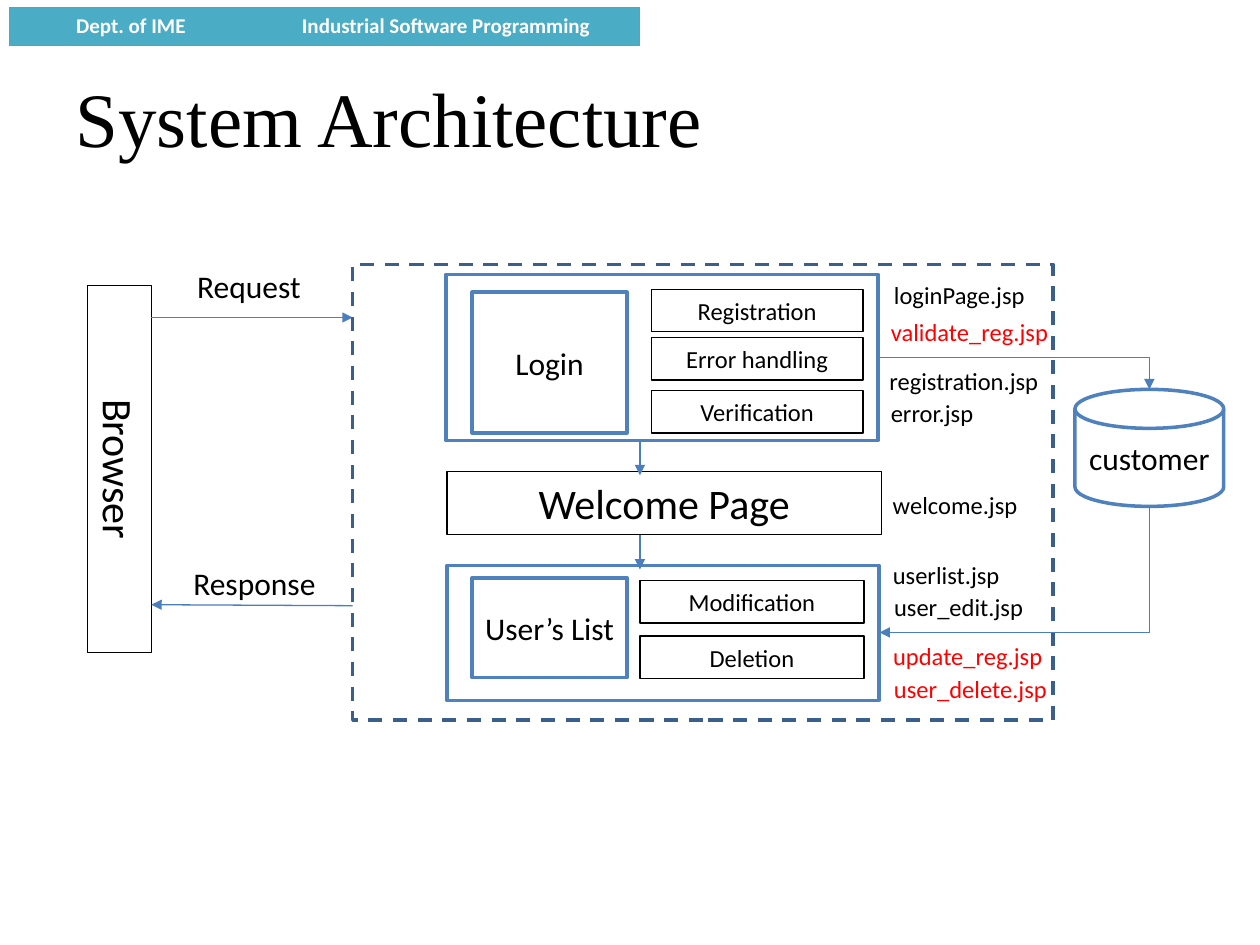
from lxml.etree import SubElement
from pptx import Presentation
from pptx.dml.color import RGBColor
from pptx.enum.dml import MSO_LINE
from pptx.enum.shapes import MSO_CONNECTOR, MSO_SHAPE
from pptx.enum.text import MSO_ANCHOR, PP_ALIGN
from pptx.oxml.ns import qn
from pptx.util import Cm, Pt

BLACK, WHITE, RED = "000000", "FFFFFF", "FF0000"
BLUE, ARROW, DASH = "4F81BD", "4B7EBC", "3A5F8C"
TEAL, TEAL_EDGE = "4BACC6", "46AAC5"
NO_TABLE_STYLE = "{2D5ABB26-0587-4C30-8999-92F81FD0307C}"


def rgb(value):
    """Turn a hex string into a colour."""
    return RGBColor.from_string(value)


def write(tf, text, size=14, color=BLACK, font="Calibri", bold=False,
          align=PP_ALIGN.CENTER, anchor=MSO_ANCHOR.MIDDLE, wrap=True):
    """Put one formatted line of text into a text frame."""
    tf.word_wrap = wrap
    tf.vertical_anchor = anchor
    p = tf.paragraphs[0]
    p.alignment = align
    r = p.add_run()
    r.text = text
    r.font.size, r.font.name, r.font.bold = Pt(size), font, bold
    r.font.color.rgb = rgb(color)


def add_box(s, x, y, w, h, text="", size=14, line=BLACK, width=0.75,
            fill=None, shape=MSO_SHAPE.RECTANGLE):
    """Draw an outlined shape with optional text."""
    sp = s.shapes.add_shape(shape, Cm(x), Cm(y), Cm(w), Cm(h))
    sp.shadow.inherit = False
    if fill:
        sp.fill.solid()
        sp.fill.fore_color.rgb = rgb(fill)
    else:
        sp.fill.background()
    sp.line.color.rgb = rgb(line)
    sp.line.width = Pt(width)
    if text:
        write(sp.text_frame, text, size)
    return sp


def add_label(s, x, y, w, h, text, size=14, color=BLACK):
    """Place a single unwrapped line of text."""
    sp = s.shapes.add_textbox(Cm(x), Cm(y), Cm(w), Cm(h))
    write(sp.text_frame, text, size, color, anchor=MSO_ANCHOR.TOP, wrap=False)


def add_arrow(s, x1, y1, x2, y2, kind=MSO_CONNECTOR.STRAIGHT):
    """Draw a connector with an arrowhead at its end."""
    cxn = s.shapes.add_connector(kind, Cm(x1), Cm(y1), Cm(x2), Cm(y2))
    cxn.line.color.rgb = rgb(ARROW)
    cxn.line.width = Pt(0.75)
    SubElement(cxn.line._get_or_add_ln(), qn("a:tailEnd"), type="triangle")
    SubElement(cxn._element.spPr, qn("a:effectLst"))
    return cxn


def add_elbow(s, x1, y1, x2, y2, down_first=False):
    """Draw a one-bend arrow that goes right then down, or down then left."""
    if down_first:
        w, h = y2 - y1, x1 - x2
        left, top = (x1 + x2 - w) / 2, (y1 + y2 - h) / 2
        x1, y1, x2, y2 = left, top, left + w, top + h
    cxn = add_arrow(s, x1, y1, x2, y2, MSO_CONNECTOR.ELBOW)
    spPr = cxn._element.spPr
    spPr.find(qn("a:prstGeom")).set("prst", "bentConnector2")
    if down_first:
        spPr.find(qn("a:xfrm")).set("rot", "5400000")


def add_header(s, x, y, w, h):
    """Build the course banner as a one-row table."""
    frame = s.shapes.add_table(1, 2, Cm(x), Cm(y), Cm(w), Cm(h))
    table = frame.table
    table.first_row = table.horz_banding = False
    table._tbl.tblPr.find(qn("a:tableStyleId")).text = NO_TABLE_STYLE
    first = 4.88
    columns = (("Dept. of IME", first, "LTB"),
               ("Industrial Software Programming", w - first, "RTB"))
    for i, (text, width, edges) in enumerate(columns):
        table.columns[i].width = Cm(width)
        cell = table.cell(0, i)
        write(cell.text_frame, text, 12, WHITE, bold=True)
        cell.vertical_anchor = MSO_ANCHOR.TOP
        tcPr = cell._tc.get_or_add_tcPr()
        for edge in edges:
            ln = SubElement(tcPr, qn(f"a:ln{edge}"), w=str(Pt(0.75)))
            SubElement(SubElement(ln, qn("a:solidFill")), qn("a:srgbClr"), val=TEAL_EDGE)
        cell.fill.solid()
        cell.fill.fore_color.rgb = rgb(TEAL)


def add_title(s, x, y, w, h):
    """Move and format the title placeholder."""
    title = s.shapes.title
    title.left, title.top, title.width, title.height = Cm(x), Cm(y), Cm(w), Cm(h)
    write(title.text_frame, "System Architecture", 44, font="Times New Roman",
          align=PP_ALIGN.LEFT)


def add_browser(s, x, y, w, h, reach):
    """Draw the upright browser bar and its arrows to and from the server."""
    bar = add_box(s, x + (w - h) / 2, y + (h - w) / 2, h, w, "Browser", 24)
    bar.rotation = 90
    right = x + w
    add_arrow(s, right, y + 0.64, right + reach, y + 0.64)
    add_arrow(s, right + reach, y + 6.45, right, y + 6.43)
    add_label(s, right + 0.66, y - 0.5, 2.62, 1.02, "Request", 18)
    add_label(s, right + 0.58, y + 5.49, 3, 1.02, "Response", 18)


def add_panel(s, x, y, w, h, name, name_box, items, item_left, item_tops):
    """Draw a panel with a named block and a column of functions."""
    add_box(s, x, y, w, h, line=BLUE, width=2)
    dx, dy, name_w, name_h = name_box
    add_box(s, x + dx, y + dy, name_w, name_h, name, 18, BLUE, 2)
    for text, top in zip(items, item_tops):
        add_box(s, x + item_left, y + top, w - item_left - 0.3, 0.86, text)


def add_server(s, x, y, w, h):
    """Draw the dashed server area with its pages and file names."""
    add_box(s, x, y, w, h, line=DASH, width=2).line.dash_style = MSO_LINE.DASH
    add_panel(s, x + 1.88, y + 0.2, 8.71, 3.35, "Login", (0.53, 0.36, 3.12, 2.84),
              ("Registration", "Error handling", "Verification"), 4.14, (0.3, 1.27, 2.34))
    add_box(s, x + 1.9, y + 4.17, 8.76, 1.27, "Welcome Page", 24)
    add_panel(s, x + 1.9, y + 6.07, 8.71, 2.72, "User’s List", (0.51, 0.25, 3.12, 2.01),
              ("Modification", "Deletion"), 3.89, (0.3, 1.42))
    for top in (3.56, 5.46):
        add_arrow(s, x + 5.79, y + top, x + 5.79, y + top + 0.69)
    files = (("loginPage.jsp", 10.64, 0.2, 3.18, BLACK),
             ("validate_reg.jsp", 10.57, 0.94, 3.73, RED),
             ("registration.jsp", 10.54, 1.93, 3.56, BLACK),
             ("error.jsp", 10.59, 2.57, 2.18, BLACK),
             ("welcome.jsp", 10.62, 4.42, 3.05, BLACK),
             ("userlist.jsp", 10.62, 5.84, 2.69, BLACK),
             ("user_edit.jsp", 10.64, 6.48, 3.15, BLACK),
             ("update_reg.jsp", 10.62, 7.47, 3.56, RED),
             ("user_delete.jsp", 10.64, 8.13, 3.63, RED))
    for text, dx, dy, width, color in files:
        add_label(s, x + dx, y + dy, width, 0.86, text, color=color)


def add_database(s, x, y, w, h):
    """Draw the customer database and its links with the panels."""
    add_box(s, x, y, w, h, "customer", 18, BLUE, 2, WHITE,
            MSO_SHAPE.FLOWCHART_MAGNETIC_DISK)
    middle = x + w / 2
    add_elbow(s, x - 3.97, y - 0.64, middle, y)
    add_elbow(s, middle, y + h, x - 3.94, y + 4.9, down_first=True)


def main():
    """Build and save the slide."""
    prs = Presentation()
    prs.slide_width, prs.slide_height = Cm(25.4), Cm(19.05)
    s = prs.slides.add_slide(prs.slide_layouts[5])
    add_header(s, 0.2, 0.15, 12.7, 0.69)
    add_title(s, 1.27, 0.76, 22.86, 3.18)
    add_browser(s, 1.77, 5.76, 1.28, 7.4, reach=4.06)
    add_server(s, 7.11, 5.33, 14.12, 9.19)
    add_database(s, 21.67, 7.85, 3, 2.36)
    prs.save("out.pptx")


if __name__ == "__main__":
    main()
